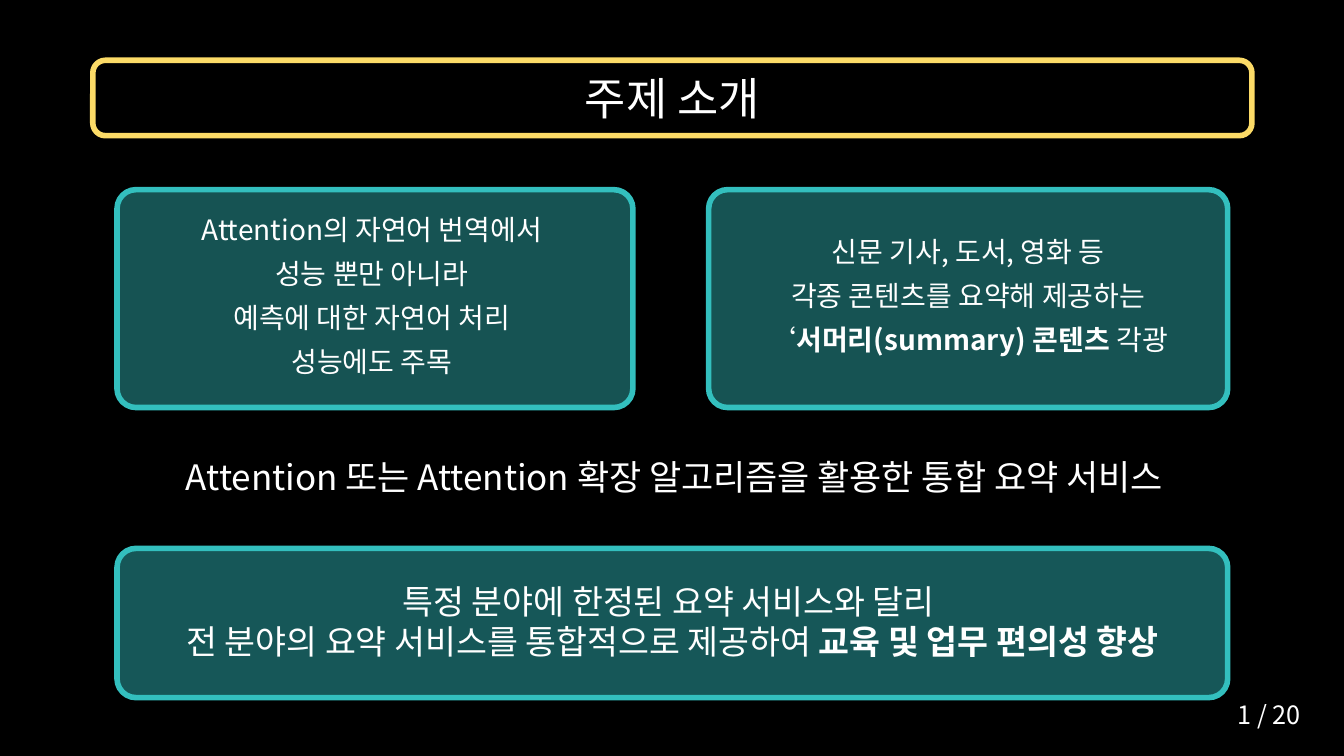
from collections import namedtuple
from dataclasses import dataclass

from lxml import etree
from pptx import Presentation
from pptx.dml.color import RGBColor
from pptx.enum.shapes import MSO_SHAPE
from pptx.enum.text import MSO_ANCHOR, MSO_AUTO_SIZE, PP_ALIGN
from pptx.oxml.ns import qn
from pptx.util import Cm, Pt

ROUNDED = MSO_SHAPE.ROUNDED_RECTANGLE
CENTER, LEFT = PP_ALIGN.CENTER, PP_ALIGN.LEFT
MIDDLE = MSO_ANCHOR.MIDDLE
GROW = MSO_AUTO_SIZE.SHAPE_TO_FIT_TEXT
TITLE_ONLY = 5

# Lengths in centimetres
Box = namedtuple("Box", "left top width height")


@dataclass(frozen=True)
class Theme:
    font: str = "Noto Sans CJK KR"
    background: RGBColor = RGBColor(0x00, 0x00, 0x00)
    text: RGBColor = RGBColor(0xFF, 0xFF, 0xFF)
    title_line: RGBColor = RGBColor(0xFC, 0xDB, 0x67)
    panel: RGBColor = RGBColor(0x33, 0xBF, 0xBE)
    conclusion: RGBColor = RGBColor(0x33, 0xC7, 0xCA)
    panel_opacity: int = 44
    line_width: int = 4
    title_size: int = 32
    slogan_size: int = 25
    conclusion_size: int = 24
    panel_size: int = 20
    page_size: int = 18


THEME = Theme()


def place(box):
    return [Cm(length) for length in box]


def style_run(run, size, bold=False):
    run.font.name = THEME.font
    run.font.size = Pt(size)
    run.font.bold = bold
    run.font.color.rgb = THEME.text
    east_asian = etree.SubElement(run._r.get_or_add_rPr(), qn("a:ea"))
    east_asian.set("typeface", THEME.font)


def add_rounded_frame(slide, box, line_color, fill_color=None, corner=None):
    frame = slide.shapes.add_shape(ROUNDED, *place(box))
    frame.shadow.inherit = False
    frame.line.color.rgb = line_color
    frame.line.width = Pt(THEME.line_width)
    if corner is not None:
        frame.adjustments[0] = corner
    if fill_color is None:
        frame.fill.background()
        return
    frame.fill.solid()
    frame.fill.fore_color.rgb = fill_color
    color = frame._element.spPr.find(qn("a:solidFill"))[0]
    alpha = etree.SubElement(color, qn("a:alpha"))
    alpha.set("val", str(THEME.panel_opacity * 1000))


def add_text(slide, box, lines, size, alignment=CENTER, spaced=False, wrap=True):
    """Each line is a list of pieces; every second piece is bold."""
    text_box = slide.shapes.add_textbox(*place(box))
    text_frame = text_box.text_frame
    text_frame.word_wrap = wrap
    text_frame.auto_size = GROW
    for index, pieces in enumerate(lines):
        paragraph = text_frame.add_paragraph() if index else text_frame.paragraphs[0]
        paragraph.alignment = alignment
        if spaced:
            paragraph.line_spacing = 0.9
            paragraph.space_before = Pt(10)
        for position, piece in enumerate(pieces):
            run = paragraph.add_run()
            run.text = piece
            style_run(run, size, bold=position % 2 == 1)
    return text_box


def add_title(slide, box, text):
    add_rounded_frame(slide, box, THEME.title_line)
    title = slide.shapes.title
    title.left, title.top, title.width, title.height = place(box)
    text_frame = title.text_frame
    text_frame.text = text
    text_frame.vertical_anchor = MIDDLE
    text_frame.paragraphs[0].alignment = CENTER
    style_run(text_frame.paragraphs[0].runs[0], THEME.title_size)


def add_panel(slide, box, lines, inset, size, fill_color, corner, spaced=False):
    """Tinted panel with its text inset by (horizontal, vertical) margins."""
    add_rounded_frame(slide, box, THEME.panel, fill_color, corner)
    across, down = inset
    text_area = Box(box.left + across, box.top + down,
                    box.width - 2 * across, box.height - 2 * down)
    add_text(slide, text_area, lines, size, spaced=spaced)


def add_slogan(slide, box, text):
    slogan = add_text(slide, box, [[text]], THEME.slogan_size)
    # Soft light shadow behind the letters
    properties = slogan.text_frame.paragraphs[0].runs[0]._r.get_or_add_rPr()
    effects = etree.Element(qn("a:effectLst"))
    shadow = etree.SubElement(effects, qn("a:outerShdw"), blurRad="50800",
                              dist="38100", dir="2700000", algn="tl")
    color = etree.SubElement(shadow, qn("a:srgbClr"), val=str(THEME.text))
    etree.SubElement(color, qn("a:alpha"), val="40000")
    properties.find(qn("a:solidFill")).addnext(effects)


def build_topic_slide(presentation):
    slide = presentation.slides.add_slide(presentation.slide_layouts[TITLE_ONLY])
    slide.background.fill.solid()
    slide.background.fill.fore_color.rgb = THEME.background

    add_title(slide, Box(2.34, 1.52, 29.21, 1.9), "주제 소개")

    # Two background panels
    add_panel(slide, Box(2.95, 4.78, 13, 5.49),
              [["Attention의 자연어 번역에서 "],
               ["성능 뿐만 아니라 "],
               ["예측에 대한 자연어 처리 "],
               ["성능에도 주목 "]],
              (0.56, 0.54), THEME.panel_size, THEME.panel, 0.087, spaced=True)
    add_panel(slide, Box(17.86, 4.78, 13.08, 5.49),
              [["신문 기사, 도서, 영화 등"],
               [" 각종 콘텐츠를 요약해 제공하는 "],
               ["‘", "서머리(summary) 콘텐츠 ", "각광"]],
              (0.33, 1.1), THEME.panel_size, THEME.panel, 0.087, spaced=True)

    add_slogan(slide, Box(3.51, 11.35, 26.97, 1.32),
               "Attention 또는 Attention 확장 알고리즘을 활용한 통합 요약 서비스")

    # Conclusion panel
    add_panel(slide, Box(2.95, 13.82, 27.99, 3.76),
              [["특정 분야에 한정된 요약 서비스와 달리 "],
               ["전 분야의 요약 서비스를 통합적으로 제공하여 ", "교육 및 업무 편의성 향상"]],
              (0.33, 0.69), THEME.conclusion_size, THEME.conclusion, 0.127)

    # Page number
    add_text(slide, Box(30.94, 17.5, 2.29, 1.02), [["1 / 20"]],
             THEME.page_size, alignment=LEFT, wrap=False)


def main():
    presentation = Presentation()
    presentation.slide_width = Cm(33.87)
    presentation.slide_height = Cm(19.05)
    build_topic_slide(presentation)
    presentation.save("out.pptx")


if __name__ == "__main__":
    main()
